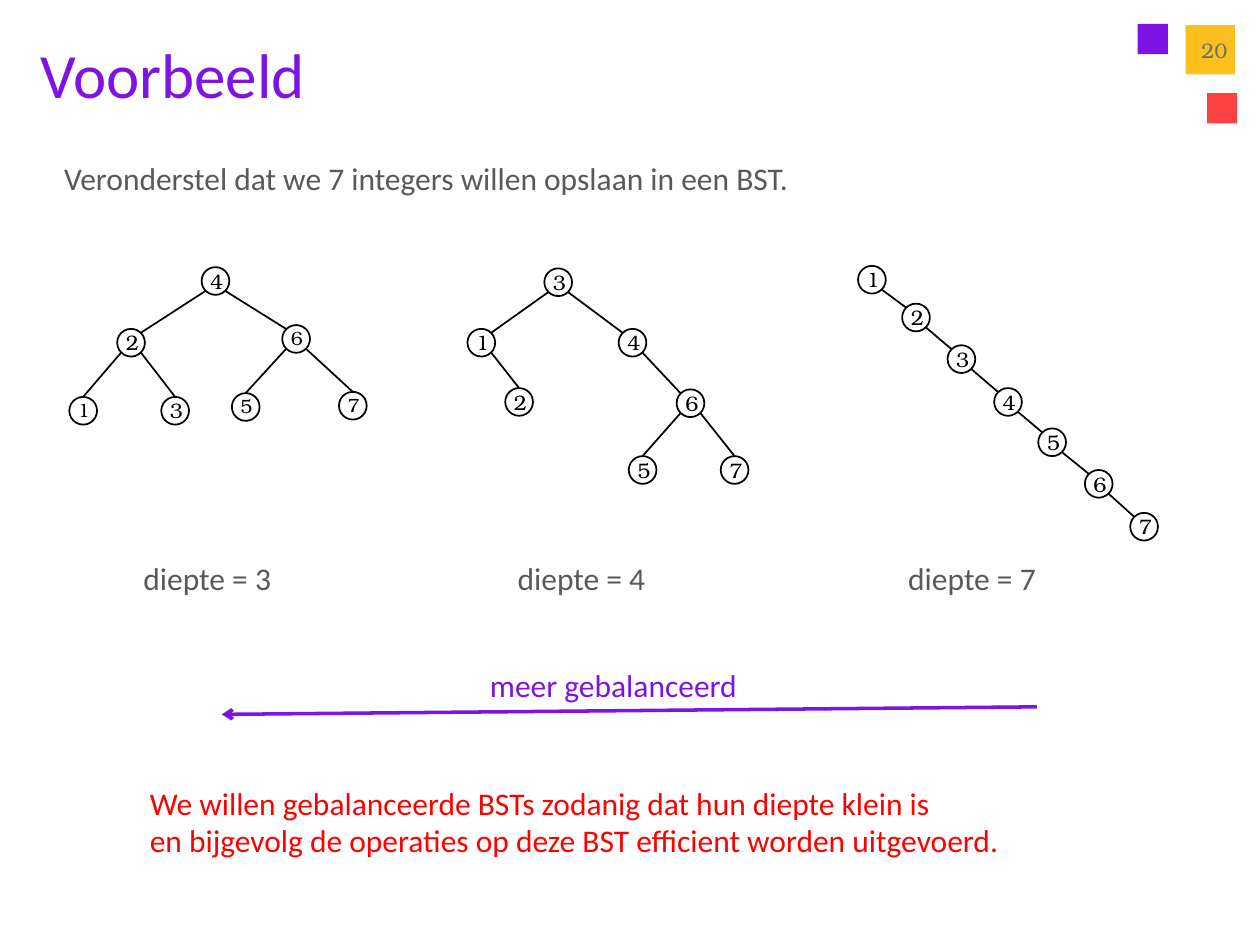
from lxml import etree
from pptx import Presentation
from pptx.dml.color import RGBColor
from pptx.enum.shapes import MSO_CONNECTOR, MSO_SHAPE
from pptx.enum.text import MSO_ANCHOR, PP_ALIGN
from pptx.oxml.ns import qn
from pptx.util import Inches, Pt

RECT, OVAL = MSO_SHAPE.RECTANGLE, MSO_SHAPE.OVAL
LINE = MSO_CONNECTOR.STRAIGHT
TOP, MIDDLE = MSO_ANCHOR.TOP, MSO_ANCHOR.MIDDLE
LEFT, RIGHT = PP_ALIGN.LEFT, PP_ALIGN.RIGHT


class Theme:
    purple, red, gold = "7E13E3", "FD4244", "FBC01E"
    black, grey, number, alert = "000000", "595959", "6D6D6D", "FF0000"
    sans, serif = "Calibri", "TeX Gyre Bonum"
    title, body, node, small = 36, 18, 12, 11
    thin, thick = 1, 2


# Content: left, top, side, colour
SQUARES = [
    (9.03, 0.19, 0.24, Theme.purple),
    (9.58, 0.74, 0.24, Theme.red),
    (9.41, 0.20, 0.39, Theme.gold),
]

# Left, top, width, height, lines, colour
NOTES = [
    (0.41, 1.21, 6.75, 0.4,
     ["Veronderstel dat we 7 integers willen opslaan in een BST."], Theme.grey),
    (3.79, 5.24, 2.5, 0.4, ["meer gebalanceerd"], Theme.purple),
    (1.09, 6.17, 7.91, 0.71,
     ["We willen gebalanceerde BSTs zodanig dat hun diepte klein is",
      "en bijgevolg de operaties op deze BST efficient worden uitgevoerd."],
     Theme.alert),
]

# Nodes: value -> left, top, type size.
# Edges: parent, child; those in "drops" end at the top of the child.
TREES = [
    {
        "depth": ("diepte = 3", 1.04),
        "nodes": {
            4: (1.60, 2.12, Theme.node), 2: (0.93, 2.61, Theme.node),
            6: (2.24, 2.58, Theme.small), 1: (0.55, 3.15, Theme.small),
            3: (1.28, 3.15, Theme.node), 5: (1.84, 3.12, Theme.small),
            7: (2.69, 3.11, Theme.small),
        },
        "edges": [(4, 2), (4, 6)],
        "drops": [(2, 1), (2, 3), (6, 5), (6, 7)],
    },
    {
        "depth": ("diepte = 4", 4.01),
        "nodes": {
            3: (4.32, 2.13, Theme.node), 1: (3.71, 2.61, Theme.node),
            4: (4.91, 2.61, Theme.node), 2: (4.01, 3.08, Theme.node),
            6: (5.37, 3.09, Theme.node), 5: (4.99, 3.62, Theme.node),
            7: (5.72, 3.62, Theme.node),
        },
        "edges": [(3, 1), (3, 4), (4, 6)],
        "drops": [(1, 2), (6, 5), (6, 7)],
    },
    {
        "depth": ("diepte = 7", 7.11),
        "nodes": {
            1: (6.81, 2.11, Theme.node), 2: (7.16, 2.41, Theme.node),
            3: (7.52, 2.74, Theme.node), 4: (7.89, 3.08, Theme.node),
            5: (8.24, 3.40, Theme.node), 6: (8.61, 3.73, Theme.node),
            7: (8.97, 4.07, Theme.node),
        },
        "edges": [(n, n + 1) for n in range(1, 7)],
        "drops": [],
    },
]

SIZE = 0.22         # node diameter
NEAR, FAR = 0.03, 0.19  # where a diagonal meets the circle


def color(code):
    return RGBColor.from_string(code)


def add_text(slide, box, lines, size, ink, font=Theme.sans,
             anchor=TOP, align=LEFT, wrap=True, space=1.0):
    frame = slide.shapes.add_textbox(*map(Inches, box)).text_frame
    frame.word_wrap = wrap
    frame.vertical_anchor = anchor
    for i, line in enumerate(lines):
        para = frame.add_paragraph() if i else frame.paragraphs[0]
        para.alignment = align
        para.line_spacing = space
        run = para.add_run()
        run.text = line
        run.font.name = font
        run.font.size = Pt(size)
        run.font.color.rgb = color(ink)


def add_form(slide, kind, x, y, side, fill=None, line=None):
    form = slide.shapes.add_shape(kind, *map(Inches, (x, y, side, side)))
    form.shadow.inherit = False
    if fill:
        form.fill.solid()
        form.fill.fore_color.rgb = color(fill)
    else:
        form.fill.background()
    if line:
        form.line.color.rgb = color(line)
        form.line.width = Pt(Theme.thin)
    else:
        form.line.fill.background()


def add_line(slide, start, end, ink, width, arrow=False):
    link = slide.shapes.add_connector(LINE, *map(Inches, (*start, *end)))
    link.line.color.rgb = color(ink)
    link.line.width = Pt(width)
    if arrow:
        etree.SubElement(link.line._get_or_add_ln(), qn("a:tailEnd"), type="arrow")
    etree.SubElement(link._element.spPr, qn("a:effectLst"))


def add_edge(slide, nodes, pair, drop):
    (px, py, _), (cx, cy, _) = nodes[pair[0]], nodes[pair[1]]
    out, into = (FAR, NEAR) if cx > px else (NEAR, FAR)
    end = (cx + SIZE / 2, cy) if drop else (cx + into, cy + NEAR)
    add_line(slide, (px + out, py + FAR), end, Theme.black, Theme.thin)


def add_tree(slide, tree):
    nodes = tree["nodes"]
    for value, (x, y, size) in nodes.items():
        add_text(slide, (x - 0.03, y - 0.04, 0.41, 0.3), [str(value)],
                 size, Theme.black, Theme.serif)
        add_form(slide, OVAL, x, y, SIZE, line=Theme.black)
    for key in ("edges", "drops"):
        for pair in tree[key]:
            add_edge(slide, nodes, pair, key == "drops")
    label, left = tree["depth"]
    add_text(slide, (left, 4.39, 1.39, 0.4), [label], Theme.body,
             Theme.grey, wrap=False)


def main():
    deck = Presentation()
    deck.slide_width, deck.slide_height = Inches(10), Inches(7.5)
    slide = deck.slides.add_slide(deck.slide_layouts[6])

    # Corner squares, title and page number
    for x, y, side, fill in SQUARES:
        add_form(slide, RECT, x, y, side, fill=fill)
    add_text(slide, (0.22, 0.2, 8.26, 0.84), ["Voorbeeld"], Theme.title,
             Theme.purple, anchor=MIDDLE, space=0.9)
    add_text(slide, (9.33, 0.2, 0.51, 0.4), ["20"], Theme.node, Theme.number,
             Theme.serif, anchor=MIDDLE, align=RIGHT)

    # Search trees with their depths
    for tree in TREES:
        add_tree(slide, tree)

    # Balance arrow and notes
    add_line(slide, (8.23, 5.61), (1.76, 5.67), Theme.purple, Theme.thick, True)
    for *box, lines, ink in NOTES:
        add_text(slide, box, lines, Theme.body, ink, wrap=False)

    deck.save("out.pptx")


if __name__ == "__main__":
    main()
